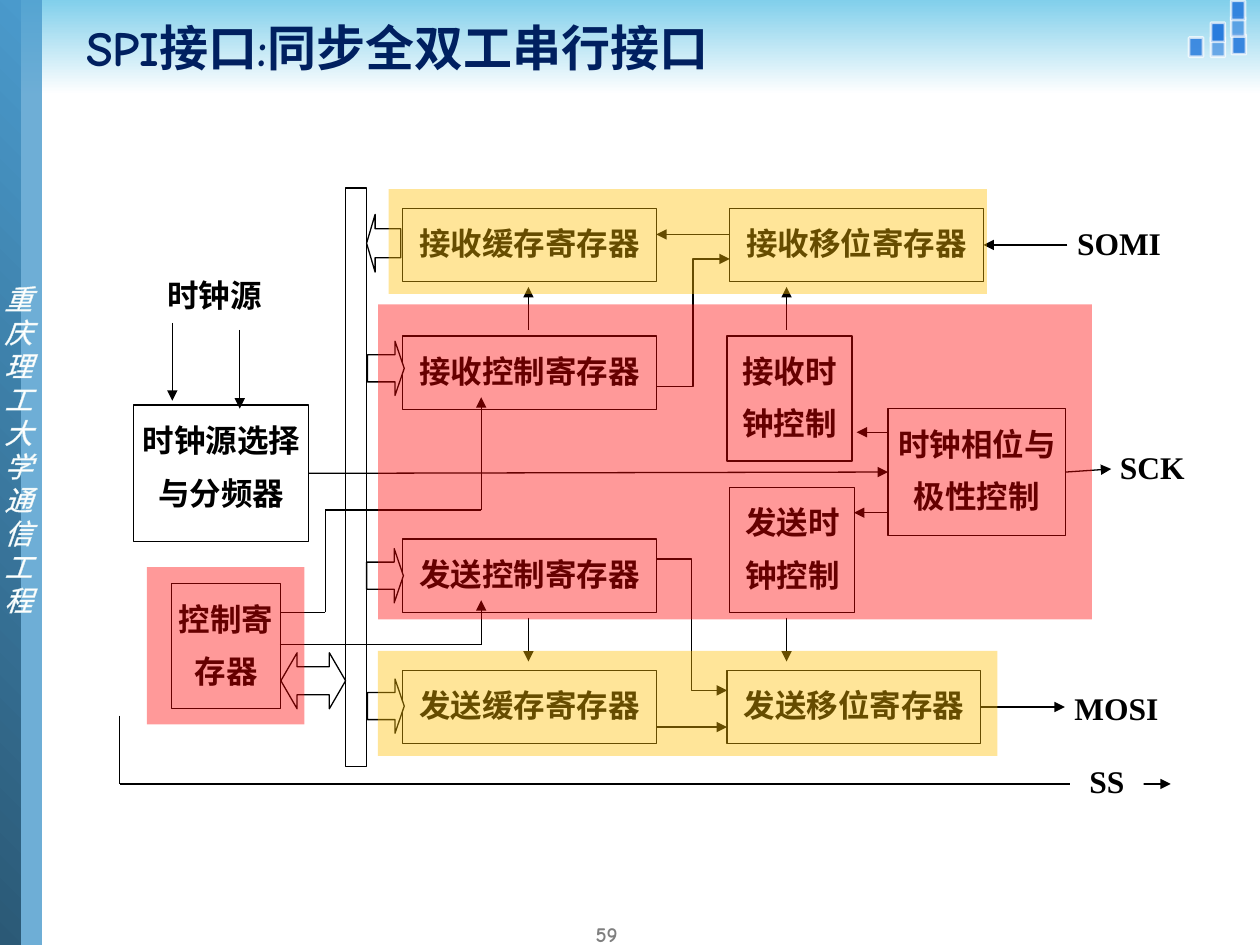
from itertools import pairwise

from lxml.etree import SubElement
from pptx import Presentation
from pptx.dml.color import RGBColor
from pptx.enum.lang import MSO_LANGUAGE_ID
from pptx.enum.shapes import MSO_CONNECTOR, MSO_SHAPE
from pptx.enum.text import MSO_ANCHOR, PP_ALIGN
from pptx.oxml.ns import qn
from pptx.util import Pt

WHITE = RGBColor(0xFF, 0xFF, 0xFF)
BLACK = RGBColor(0x00, 0x00, 0x00)
NAVY = RGBColor(0x00, 0x20, 0x60)
GRAY = RGBColor(0x7F, 0x7F, 0x7F)
SKY = RGBColor(0x81, 0xCF, 0xEB)
TILE = RGBColor(0x29, 0x7C, 0xDD)
STEEL = RGBColor(0x4A, 0x9A, 0xCC)
DEEP = RGBColor(0x2B, 0x59, 0x76)
PALE = RGBColor(0xDA, 0xED, 0xEF)
AMBER = RGBColor(0xFF, 0xC0, 0x00)
RED = RGBColor(0xFF, 0x00, 0x00)

LABEL_FONT = {"name": "Times New Roman", "size": Pt(18), "bold": True}
TITLE_FONT = {"name": "Comic Neue", "size": Pt(28), "bold": True}
NUMBER_FONT = {"name": "Comic Neue", "size": Pt(12), "bold": True}
SIDE_FONT = {"name": "Arial", "size": Pt(16), "italic": True}
BOX_FRAME = {
    "word_wrap": True, "vertical_anchor": MSO_ANCHOR.TOP,
    "margin_left": Pt(1.5), "margin_right": Pt(1.5),
    "margin_top": Pt(0.75), "margin_bottom": Pt(0.75),
}
BOX_PARAGRAPH = {"alignment": PP_ALIGN.CENTER, "line_spacing": Pt(30)}

REGISTER = (145, 42)
CLOCK = (71.5, 71.5)
BLOCKS = {
    "receive buffer": ("接收缓存寄存器", 170, 19, *REGISTER),
    "receive shift": ("接收移位寄存器", 357, 19, *REGISTER),
    "receive control": ("接收控制寄存器", 170, 92, *REGISTER),
    "send control": ("发送控制寄存器", 170, 208, *REGISTER),
    "send buffer": ("发送缓存寄存器", 170, 283, *REGISTER),
    "send shift": ("发送移位寄存器", 355.5, 283, *REGISTER),
    "receive clock": ("接收时钟控制", 355.5, 92, *CLOCK),
    "send clock": ("发送时钟控制", 357, 178.5, *CLOCK),
    "control": ("控制寄存器", 38, 233.5, 62.5, 71.5),
    "divider": ("时钟源选择与分频器", 16.5, 131.5, 100, 78),
    "phase": ("时钟相位与极性控制", 447.5, 133.5, 101.5, 72.5),
    "bus": ("", 137.5, 7.5, 12, 330.5),
}
LABELS = {
    "source": ("时钟源", 25, 48.5, 75, 42),
    "SOMI": ("SOMI", 551.5, 19, 56, 42),
    "SCK": ("SCK", 575, 147, 47, 42),
    "MOSI": ("MOSI", 550, 284.5, 56, 42),
    "SS": ("SS", 551.5, 326.5, 42, 42),
}
BUS_ARROWS = [
    (MSO_SHAPE.LEFT_ARROW, 149.5, 22.5, 19.5, 33, 0.25),
    (MSO_SHAPE.RIGHT_ARROW, 150, 95, 21, 31, 0.25),
    (MSO_SHAPE.RIGHT_ARROW, 149.5, 213.5, 21, 31, 0.25),
    (MSO_SHAPE.RIGHT_ARROW, 150, 288, 21, 31, 0.25),
    (MSO_SHAPE.LEFT_RIGHT_ARROW, 100.5, 273, 37, 32, 0.29),
]
SELECT_ROUTE = [(8.5, 309), (8.5, 348), (609, 348)]
ROUTES = [
    [(315, 315.5), (355.5, 315.5)],
    [(357, 34), (315, 34)],
    [(447.5, 193), (428, 193)],
    [(448, 147), (429.5, 147)],
    [(38.5, 84.5), (38.5, 129)],
    [(77, 88.5), (77, 133.5)],
    [(242, 88.5), (242, 64)],
    [(389.5, 88.5), (389.5, 64)],
    [(242, 253), (242, 278)],
    [(389.5, 253), (389.5, 278)],
    [(100, 268.5), (215, 268.5), (215, 243)],
    [(100.5, 250), (126, 250), (126, 191.5), (215, 191.5), (215, 127)],
]
ELBOWS = [[(315, 121), (357, 48)], [(315, 219.5), (355.5, 294.5)]]
JOINED = [
    [("divider", 3), ("phase", 1)],
    [("phase", 3), ("SCK", 1)],
    [("send shift", 3), (548.5, 304)],
    [(550, 140 - 100), ("receive shift", 3)],
]
HIGHLIGHTS = [
    (AMBER, 162, 8, 342, 60), (AMBER, 156, 272, 354, 60),
    (RED, 24, 224, 90, 90), (RED, 156, 74, 408, 180),
]
TILES = [
    (704, 20, 90), (692, 21.5, 60), (679.5, 21.5, 85),
    (692, 13, 100), (703.5, 10, 60), (703.5, 0.5, 90),
]


def apply(target, values):
    """Set each named attribute of the target."""
    for name, value in values.items():
        setattr(target, name, value)


def set_alpha(fill_parent, percent):
    """Make the first solid colour below an element partly transparent."""
    color = next(fill_parent.iter(qn("a:srgbClr")))
    SubElement(color, qn("a:alpha"), val=str(percent * 1000))


def write(text_frame, text, font, color, paragraph_values):
    """Fill a text frame with one run and return the run."""
    paragraph = text_frame.paragraphs[0]
    apply(paragraph, paragraph_values)
    run = paragraph.add_run()
    run.text = text
    apply(run.font, {**font, "language_id": MSO_LANGUAGE_ID.SIMPLIFIED_CHINESE})
    run.font.color.rgb = color
    return run


def add_block(slide, box, fill, line=None, width=0.75, kind=MSO_SHAPE.RECTANGLE):
    """Add a preset shape with a plain fill or a pair of gradient colours and an angle."""
    shape = slide.shapes.add_shape(kind, *map(Pt, box))
    shape.shadow.inherit = False
    if isinstance(fill, RGBColor):
        shape.fill.solid()
        shape.fill.fore_color.rgb = fill
    else:
        *colors, angle = fill
        shape.fill.gradient()
        shape.fill.gradient_angle = angle
        for stop, color in zip(shape.fill.gradient_stops, colors):
            stop.color.rgb = color
    if line is None:
        shape.line.fill.background()
    else:
        shape.line.color.rgb = line
        shape.line.width = Pt(width)
    return shape


def add_line(slide, start, end, arrow=True, kind=MSO_CONNECTOR.STRAIGHT):
    """Add a thin black connector."""
    line = slide.shapes.add_connector(kind, *map(Pt, (*start, *end)))
    line.line.color.rgb = BLACK
    line.line.width = Pt(0.75)
    if arrow:
        SubElement(line.line._get_or_add_ln(), qn("a:tailEnd"), type="triangle")
    SubElement(line._element.spPr, qn("a:effectLst"))
    return line


def add_route(slide, points):
    """Add a chain of lines with an arrowhead on the last one."""
    for start, end in pairwise(points):
        add_line(slide, start, end, arrow=end == points[-1])


def add_backdrop(slide, width, height):
    """Draw the top band, the corner tiles and the side strip."""
    add_block(slide, (0, 0, width, 54), (SKY, WHITE, 270))
    for x, y, opacity in TILES:
        tile = add_block(slide, (x, y, 8, 11), TILE, WHITE, 1.5)
        set_alpha(tile._element.spPr, opacity)
        set_alpha(tile.line._get_or_add_ln(), 70)
    strip = add_block(slide, (8, 0, 16, height), STEEL)
    set_alpha(strip._element.spPr, 80)
    add_block(slide, (0, 0, 12, height), (DEEP, STEEL, 45))
    side = slide.shapes.add_textbox(*map(Pt, (-4.5, 157.5, 38, 201)))
    side.text_frame.word_wrap = True
    run = write(side.text_frame, "重庆理工大学通信工程", SIDE_FONT, WHITE, {"line_spacing": Pt(19.15)})
    properties = run.font._element
    outline = SubElement(properties, qn("a:ln"), w=str(Pt(0.8)))
    SubElement(SubElement(outline, qn("a:solidFill")), qn("a:srgbClr"), val=str(PALE))
    properties.insert(0, outline)


def add_heading(slide, box, number_box):
    """Place the title and the page number."""
    title = slide.shapes.title
    apply(title, dict(zip(("left", "top", "width", "height"), map(Pt, box))))
    title.text_frame.vertical_anchor = MSO_ANCHOR.MIDDLE
    write(title.text_frame, "SPI接口:同步全双工串行接口", TITLE_FONT, NAVY, {"alignment": PP_ALIGN.LEFT})
    number = slide.shapes.add_textbox(*map(Pt, number_box))
    apply(number.text_frame, {"word_wrap": True, "vertical_anchor": MSO_ANCHOR.MIDDLE})
    write(number.text_frame, "59", NUMBER_FONT, GRAY, {"alignment": PP_ALIGN.RIGHT})


def add_diagram(slide, left, top):
    """Draw the interface diagram from its upper left corner."""
    def place(point):
        return left + point[0], top + point[1]

    add_route(slide, [place(point) for point in SELECT_ROUTE])
    shapes = {}
    for group, line in ((BLOCKS, BLACK), (LABELS, None)):
        for name, (text, x, y, *size) in group.items():
            shapes[name] = shape = add_block(slide, (*place((x, y)), *size), WHITE, line)
            apply(shape.text_frame, BOX_FRAME)
            if text:
                write(shape.text_frame, text, LABEL_FONT, BLACK, BOX_PARAGRAPH)
    for kind, x, y, width, height, head in BUS_ARROWS:
        arrow = add_block(slide, (*place((x, y)), width, height), WHITE, BLACK, kind=kind)
        arrow.adjustments[1] = head
    for points in ROUTES:
        add_route(slide, [place(point) for point in points])
    for start, end in ELBOWS:
        add_line(slide, place(start), place(end), kind=MSO_CONNECTOR.ELBOW)
    for ends in JOINED:
        fixed = [(0, 0) if end[0] in shapes else place(end) for end in ends]
        line = add_line(slide, *fixed)
        for connect, (name, site) in zip((line.begin_connect, line.end_connect), ends):
            if name in shapes:
                connect(shapes[name], site)
    for color, x, y, *size in HIGHLIGHTS:
        set_alpha(add_block(slide, (*place((x, y)), *size), color)._element.spPr, 40)


presentation = Presentation()
apply(presentation, {"slide_width": Pt(720), "slide_height": Pt(540)})
slide = presentation.slides.add_slide(presentation.slide_layouts[5])
add_backdrop(slide, 720, 540)
slide.shapes._spTree.append(slide.shapes.title._element)
add_heading(slide, (42, 0, 678, 54), (312, 528, 48, 12))
add_diagram(slide, 60, 100)
presentation.save("out.pptx")
